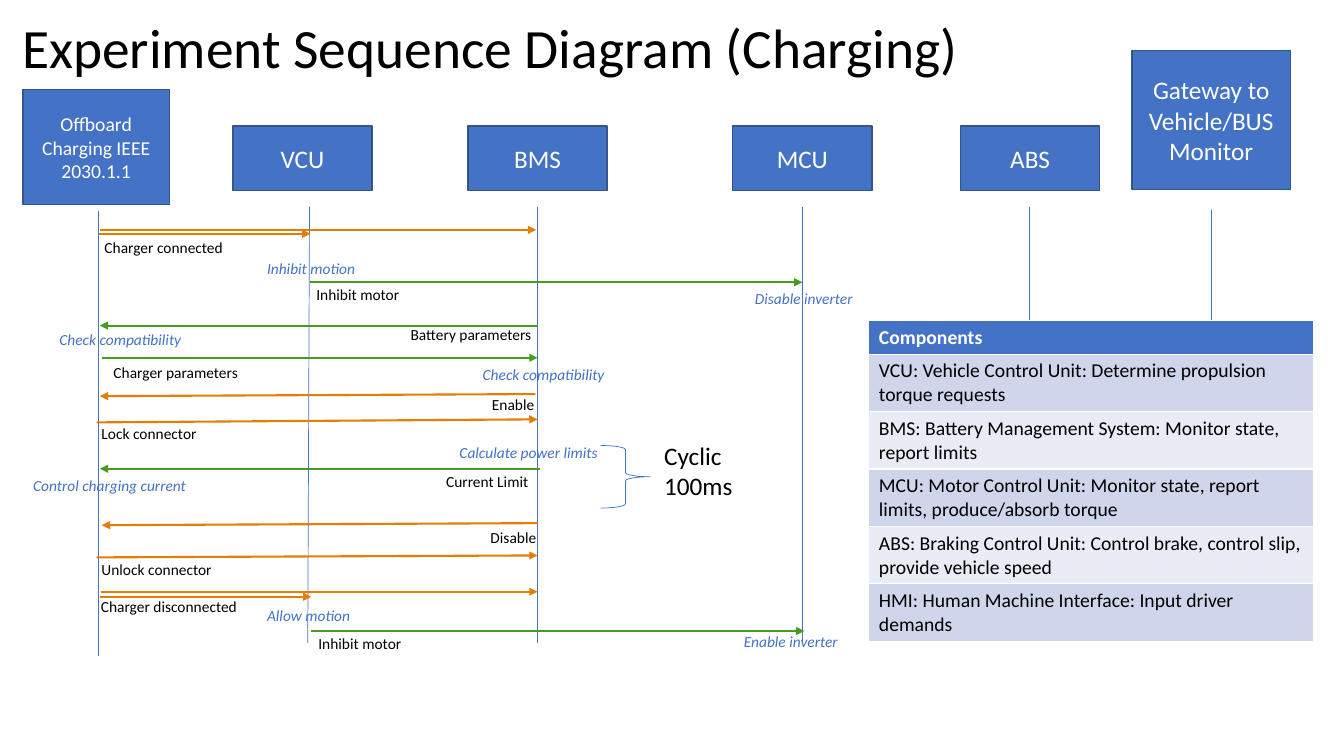
"""Build the sequence diagram slide for the charging experiment."""
from dataclasses import dataclass

from lxml import etree
from pptx import Presentation
from pptx import util as u
from pptx.dml.color import RGBColor
from pptx.enum import shapes, text
from pptx.oxml import ns

WIDTH, HEIGHT = u.Inches(13.33), u.Inches(7.5)
COLUMN, ROW = WIDTH / 100, HEIGHT / 100
FONT = "Calibri"

BLACK = RGBColor(0x00, 0x00, 0x00)
WHITE = RGBColor(0xFF, 0xFF, 0xFF)
BLUE = RGBColor(0x44, 0x72, 0xC4)
DARK_BLUE = RGBColor(0x32, 0x54, 0x91)
ORANGE = RGBColor(0xE4, 0x7E, 0x00)
GREEN = RGBColor(0x46, 0x9C, 0x23)
BANDS = (RGBColor(0xCF, 0xD5, 0xEA), RGBColor(0xE9, 0xEB, 0xF5))


@dataclass(frozen=True)
class Participant:
    """A header box and its lifeline, in grid columns and rows."""
    name: str
    centre: float
    life_start: float
    life_end: float
    top: float = 16.67
    width: float = 10.35
    height: float = 8.53
    size: float = 18
    life_top: float = 27.33
    life_bottom: float = 85.07


@dataclass(frozen=True)
class Message:
    """An arrow between two lifelines."""
    start: float
    end: float
    colour: RGBColor
    start_row: float
    end_row: float


@dataclass(frozen=True)
class Label:
    """A message caption, or an italic note on an action."""
    caption: str
    left: float
    top: float
    width: float
    note: bool = False


PARTICIPANTS = [
    Participant("VCU", 22.5, 23.03, 22.9),
    Participant("BMS", 40, 40, 40),
    Participant("MCU", 59.7, 59.7, 59.7),
    Participant("ABS", 76.65, 76.6, 76.6, life_bottom=67.87),
    Participant("Gateway to Vehicle/BUS Monitor", 90.12, 90.15, 90.15, top=6.67,
                width=11.78, height=18.4, life_top=27.73, life_bottom=68),
    Participant("Offboard Charging IEEE 2030.1.1", 7.16, 7.35, 7.35, top=11.87,
                width=10.88, height=15.2, size=14, life_top=27.87, life_bottom=86.8),
]

MESSAGES = [
    Message(7.43, 39.9, ORANGE, 30.4, 30.4),
    Message(7.35, 23.1, ORANGE, 30.93, 30.93),
    Message(23.03, 59.7, GREEN, 37.33, 37.33),
    Message(40, 7.43, GREEN, 43.07, 43.07),
    Message(7.57, 40, GREEN, 47.33, 47.33),
    Message(39.83, 7.43, ORANGE, 52.13, 52.4),
    Message(7.2, 40, ORANGE, 55.87, 55.47),
    Message(40.2, 7.43, GREEN, 62, 62),
    Message(40, 7.57, ORANGE, 69.2, 69.47),
    Message(7.2, 40, ORANGE, 73.73, 73.47),
    Message(7.5, 40, ORANGE, 78.27, 78.27),
    Message(7.43, 23.17, ORANGE, 78.93, 78.93),
    Message(23.17, 59.85, GREEN, 83.47, 83.47),
]

LABELS = [
    Label("Charger connected", 6.9, 30.8, 10.43),
    Label("Inhibit motion", 19.13, 33.6, 8.1, note=True),
    Label("Inhibit motor", 22.73, 37.07, 7.73),
    Label("Disable inverter", 55.43, 37.6, 8.85, note=True),
    Label("Battery parameters", 29.63, 42.4, 10.65),
    Label("Check compatibility", 3.68, 43.07, 10.65, note=True),
    Label("Charger parameters", 7.5, 47.33, 10.95),
    Label("Check compatibility", 35.18, 47.6, 10.65, note=True),
    Label("Enable", 35.85, 51.6, 4.65),
    Label("Lock connector", 6.75, 55.47, 8.63),
    Label("Calculate power limits", 33.45, 58, 11.85, note=True),
    Label("Current Limit", 32.33, 61.73, 7.73),
    Label("Control charging current", 1.73, 62.27, 12.98, note=True),
    Label("Disable", 35.7, 69.2, 4.95),
    Label("Unlock connector", 6.75, 73.47, 9.75),
    Label("Charger disconnected", 6.68, 78.27, 11.7),
    Label("Allow motion", 19.13, 79.47, 7.73, note=True),
    Label("Inhibit motor", 22.88, 83.2, 7.73),
    Label("Enable inverter", 54.6, 82.93, 8.55, note=True),
]

COMPONENTS = [
    "Components",
    "VCU: Vehicle Control Unit: Determine propulsion torque requests",
    "BMS: Battery Management System: Monitor state, report limits",
    "MCU: Motor Control Unit: Monitor state, report limits, produce/absorb torque",
    "ABS: Braking Control Unit: Control brake, control slip, provide vehicle speed",
    "HMI: Human Machine Interface: Input driver demands",
]


def area(left: float, top: float, width: float, height: float) -> list[int]:
    """Turn grid columns and rows into a position and size."""
    return [round(left * COLUMN), round(top * ROW), round(width * COLUMN), round(height * ROW)]


def write(frame, content: str, *, size: float, colour=BLACK, bold=False, italic=False,
          align=text.PP_ALIGN.LEFT) -> None:
    """Write one paragraph per line of content with the given format."""
    frame.text = content
    for para in frame.paragraphs:
        para.alignment = align
        for span in para.runs:
            span.font.name, span.font.size = FONT, u.Pt(size)
            span.font.bold, span.font.italic = bold, italic
            span.font.color.rgb = colour


def add_line(page, start: float, top: float, end: float, bottom: float, *,
             colour=BLUE, weight=0.5, arrow=False) -> None:
    """Draw a line, with an arrowhead at its end if asked."""
    line = page.shapes.add_connector(
        shapes.MSO_CONNECTOR.STRAIGHT, *area(start, top, end, bottom))
    line.line.color.rgb, line.line.width = colour, u.Pt(weight)
    etree.SubElement(line._element.spPr, ns.qn("a:effectLst"))
    if arrow:
        etree.SubElement(line.line._get_or_add_ln(), ns.qn("a:tailEnd"), type="triangle")


def add_participant(page, item: Participant) -> None:
    """Draw a lifeline and its header box."""
    add_line(page, item.life_start, item.life_top, item.life_end, item.life_bottom)
    box = page.shapes.add_shape(shapes.MSO_SHAPE.RECTANGLE, *area(
        item.centre - item.width / 2, item.top, item.width, item.height))
    box.shadow.inherit = False
    box.fill.solid()
    box.fill.fore_color.rgb = BLUE
    box.line.color.rgb, box.line.width = DARK_BLUE, u.Pt(1)
    box.text_frame.vertical_anchor = text.MSO_ANCHOR.MIDDLE
    write(box.text_frame, item.name, size=item.size, colour=WHITE, align=text.PP_ALIGN.CENTER)


def add_label(page, item: Label) -> None:
    """Place a caption or a note."""
    frame = page.shapes.add_textbox(*area(item.left, item.top, item.width, 3.87)).text_frame
    frame.word_wrap, frame.auto_size = False, text.MSO_AUTO_SIZE.SHAPE_TO_FIT_TEXT
    write(frame, item.caption, size=11, colour=BLUE if item.note else BLACK, italic=item.note,
          align=text.PP_ALIGN.LEFT if item.note else text.PP_ALIGN.RIGHT)


def add_cycle(page) -> None:
    """Mark the cyclic part with a brace and its period."""
    brace = page.shapes.add_shape(shapes.MSO_SHAPE.RIGHT_BRACE, *area(44.7, 58.93, 3.68, 8.27))
    brace.shadow.inherit = False
    brace.fill.background()
    brace.line.color.rgb, brace.line.width = BLUE, u.Pt(0.5)
    frame = page.shapes.add_textbox(*area(48.68, 57.6, 7.28, 9.47)).text_frame
    frame.word_wrap = True
    write(frame, "Cyclic\n100ms", size=18)


def add_components(page) -> None:
    """Add the table that explains the components."""
    table = page.shapes.add_table(len(COMPONENTS), 1, *area(64.65, 42.4, 33.08, 42.27)).table
    for index, content in enumerate(COMPONENTS):
        header = index == 0
        table.rows[index].height = round((4.27 if header else 7.6) * ROW)
        cell = table.cell(index, 0)
        cell.fill.solid()
        cell.fill.fore_color.rgb = BLUE if header else BANDS[(index - 1) % 2]
        write(cell.text_frame, content, size=14, colour=WHITE if header else BLACK, bold=header)


def add_title(page) -> None:
    """Place and format the title."""
    title = page.shapes.title
    title.left, title.top, title.width, title.height = area(0.9, 1.87, 86.25, 9.73)
    frame = title.text_frame
    frame.auto_size, frame.vertical_anchor = text.MSO_AUTO_SIZE.NONE, text.MSO_ANCHOR.MIDDLE
    write(frame, "Experiment Sequence Diagram (Charging)", size=39.6)
    frame.paragraphs[0].line_spacing = 0.9


def main() -> None:
    """Build and save the deck."""
    deck = Presentation()
    deck.slide_width, deck.slide_height = WIDTH, HEIGHT
    page = deck.slides.add_slide(deck.slide_layouts.get_by_name("Title Only"))
    add_title(page)
    for participant in PARTICIPANTS:
        add_participant(page, participant)
    for message in MESSAGES:
        add_line(page, message.start, message.start_row, message.end, message.end_row,
                 colour=message.colour, weight=1.5, arrow=True)
    for label in LABELS:
        add_label(page, label)
    add_cycle(page)
    add_components(page)
    deck.save("out.pptx")


if __name__ == "__main__":
    main()
